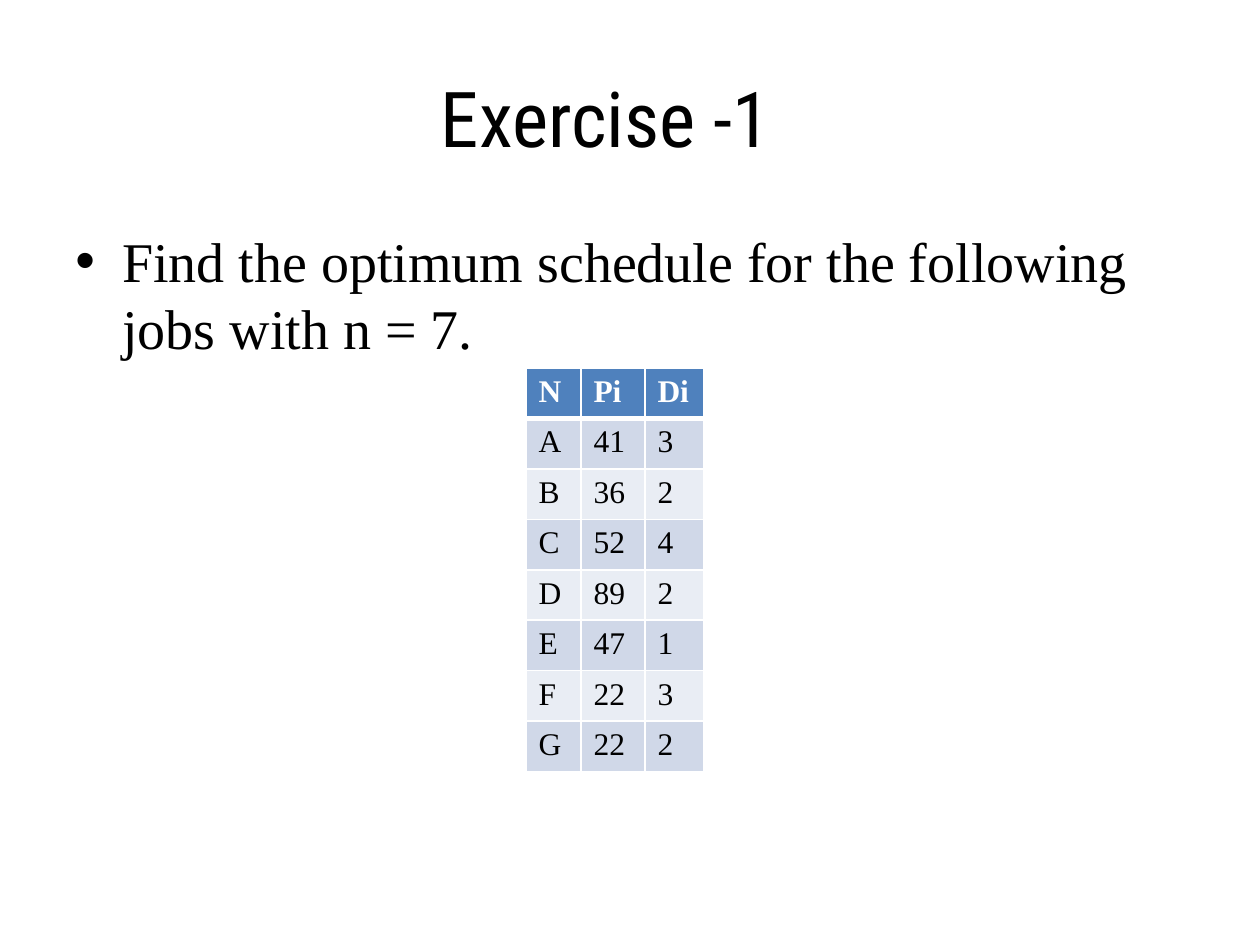
import pptx
import pptx.dml.color
import pptx.enum.text
import pptx.oxml.ns
import pptx.util
import lxml.etree

PX = 914400 / 126
COLORS = {
    "text": "000000",
    "header_text": "FFFFFF",
    "header": "4F81BD",
    "odd_row": "D0D8E8",
    "even_row": "E9EDF4",
    "border": "FFFFFF",
}
SERIF = "Times New Roman"
JOBS = [
    ("N", "Pi", "Di"),
    ("A", "41", "3"),
    ("B", "36", "2"),
    ("C", "52", "4"),
    ("D", "89", "2"),
    ("E", "47", "1"),
    ("F", "22", "3"),
    ("G", "22", "2"),
]


def emu(length):
    return pptx.util.Emu(round(length * PX))


def rgb(name):
    return pptx.dml.color.RGBColor.from_string(COLORS[name])


def apply(target, values):
    for name, value in values.items():
        setattr(target, name, value)


def add_child(parent, tag, **values):
    return lxml.etree.SubElement(parent, pptx.oxml.ns.qn(tag), values)


def write(para, text, color, **values):
    span = para.add_run()
    span.text = text
    apply(span.font, values)
    span.font.color.rgb = rgb(color)


def add_text(page, box, anchor):
    frame = page.shapes.add_textbox(*map(emu, box)).text_frame
    apply(frame, {"word_wrap": True, "vertical_anchor": anchor})
    return frame.paragraphs[0]


def add_title(page, box):
    para = add_text(page, box, pptx.enum.text.MSO_ANCHOR.MIDDLE)
    para.alignment = pptx.enum.text.PP_ALIGN.CENTER
    write(para, "Exercise -1\t", "text", name="Roboto Condensed", size=pptx.util.Pt(44))


def add_task(page, box):
    para = add_text(page, box, pptx.enum.text.MSO_ANCHOR.TOP)
    para.space_before = pptx.util.Pt(6.4)
    write(
        para,
        "Find the optimum schedule for the following jobs with n = 7.",
        "text",
        name=SERIF,
        size=pptx.util.Pt(32),
    )
    properties = para._p.get_or_add_pPr()
    properties.set("marL", str(emu(47)))
    properties.set("indent", str(emu(-47)))
    add_child(properties, "a:buFont", typeface="Arial")
    add_child(properties, "a:buChar", char="•")


def add_borders(cell, widths):
    properties = cell._tc.get_or_add_tcPr()
    for side, width in widths.items():
        line = add_child(properties, f"a:ln{side}", w=str(pptx.util.Pt(width)))
        add_child(add_child(line, "a:solidFill"), "a:srgbClr", val=COLORS["border"])


def add_jobs(page, box, column_widths, row_height):
    frame = page.shapes.add_table(len(JOBS), len(column_widths), *map(emu, box))
    table = frame.table
    for column, width in zip(table.columns, column_widths):
        column.width = emu(width)
    for index, (row, values) in enumerate(zip(table.rows, JOBS)):
        row.height = emu(row_height)
        header = index == 0
        fill = "header" if header else "odd_row" if index % 2 else "even_row"
        widths = {"L": 1, "R": 1, "T": 3 if index == 1 else 1, "B": 3 if header else 1}
        for cell, value in zip(row.cells, values):
            add_borders(cell, widths)
            cell.fill.solid()
            cell.fill.fore_color.rgb = rgb(fill)
            write(
                cell.text_frame.paragraphs[0],
                value,
                "header_text" if header else "text",
                name=SERIF,
                size=pptx.util.Pt(18),
                bold=header,
            )


def main():
    deck = pptx.Presentation()
    apply(deck, {"slide_width": emu(1260), "slide_height": emu(945)})
    page = deck.slides.add_slide(deck.slide_layouts[6])
    add_title(page, (63, 38, 1134, 157))
    add_task(page, (63, 220, 1134, 624))
    add_jobs(page, (526, 368, 178, 403), (55, 64, 59), 44)
    deck.save("out.pptx")


if __name__ == "__main__":
    main()
